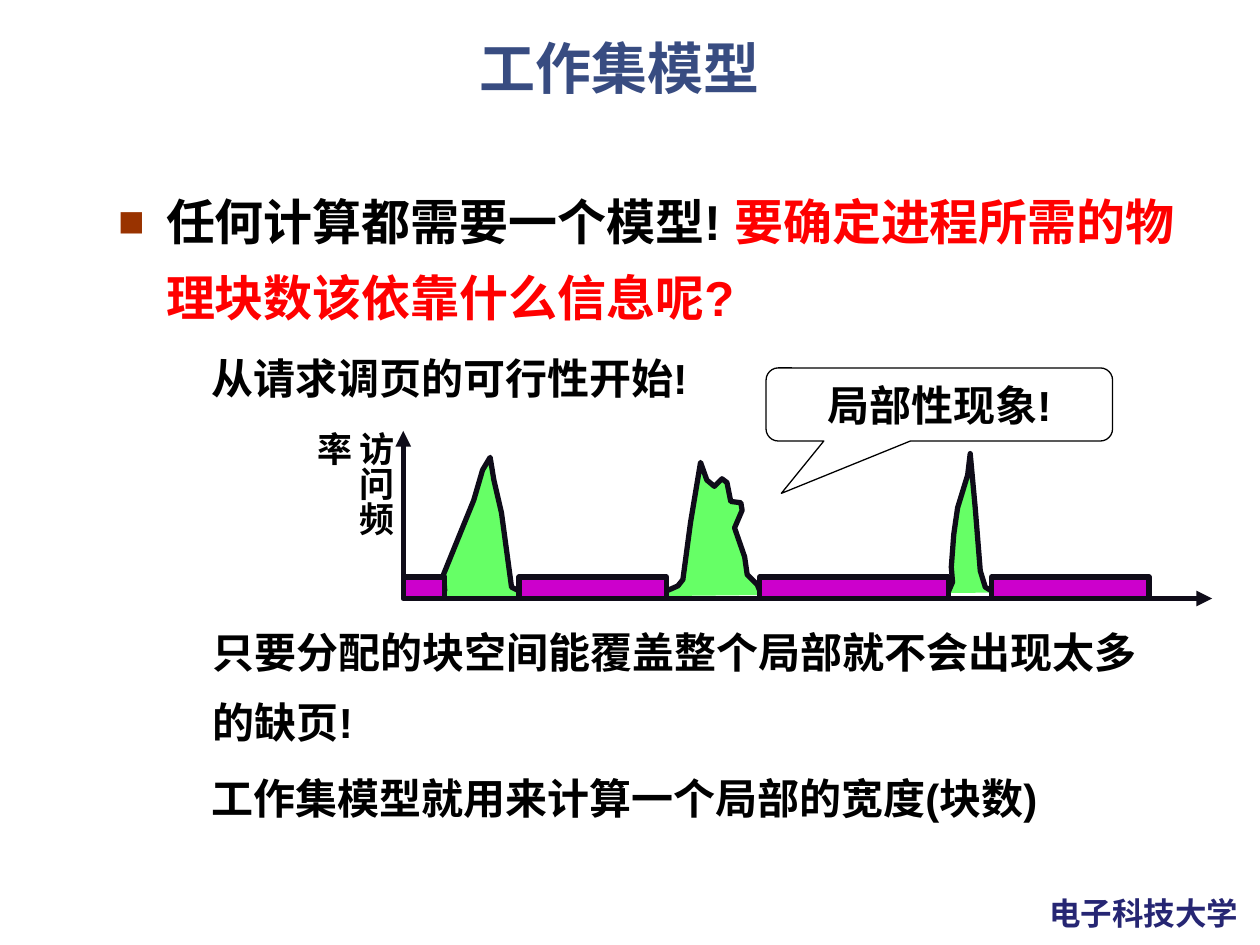
"""Build the working-set model slide with its access-frequency sketch."""
import pptx
import pptx.util
import pptx.dml.color
import pptx.enum.lang
import pptx.enum.shapes
import pptx.enum.text
import pptx.oxml
import pptx.oxml.ns

Inches, Pt = pptx.util.Inches, pptx.util.Pt
MSO_SHAPE = pptx.enum.shapes.MSO_SHAPE
MSO_ANCHOR = pptx.enum.text.MSO_ANCHOR
PP_ALIGN = pptx.enum.text.PP_ALIGN
NS = pptx.oxml.ns.nsdecls("a")
BLACK, WHITE, RED, BROWN = "000000", "FFFFFF", "FF0000", "993300"
INK, PURPLE, GREEN = "0F0C19", "CC00CC", "66FF66"


def rgb(value):
    return pptx.dml.color.RGBColor.from_string(value)


def write(tf, text, size=24, color=BLACK, align=None, spacing=None, anchor=MSO_ANCHOR.TOP, wrap=True):
    tf.word_wrap = wrap
    tf.vertical_anchor = anchor
    p = tf.paragraphs[0]
    p.alignment = align
    p.line_spacing = spacing
    r = p.add_run()
    r.text = text
    r.font.name = "Arial"
    r.font.size = Pt(size)
    r.font.bold = True
    r.font.color.rgb = rgb(color)
    r.font.language_id = pptx.enum.lang.MSO_LANGUAGE_ID.SIMPLIFIED_CHINESE
    return p


prs = pptx.Presentation()
prs.slide_width, prs.slide_height = Inches(10), Inches(7.5)
s = prs.slides.add_slide(prs.slide_layouts[6])
s.background.fill.solid()
s.background.fill.fore_color.rgb = rgb(WHITE)

footer = s.shapes.add_textbox(Inches(8.23), Inches(7.05), Inches(1.73), Inches(0.4))
write(footer.text_frame, "电子科技大学", size=18, color="262673", wrap=False)

title = s.shapes.add_textbox(Inches(0.42), Inches(0.33), Inches(9), Inches(0.74))
title.text_frame.margin_top = 0
write(title.text_frame, "工作集模型", size=32, color="384C81", align=PP_ALIGN.CENTER, spacing=0.9)

question = s.shapes.add_textbox(Inches(0.84), Inches(1.33), Inches(8.66), Inches(0.95))
for text, color in [("任何计算都需要一个模型! ", BLACK),
                    ("要确定进程所需的物理块数该依靠什么信息呢?", RED)]:
    p = write(question.text_frame, text, size=28, color=color, spacing=1.3)
pPr = p._p.get_or_add_pPr()
pPr.set("marL", str(Inches(0.38)))
pPr.set("indent", str(Inches(-0.38)))
for xml in (f'<a:buClr {NS}><a:srgbClr val="{BROWN}"/></a:buClr>',
            f'<a:buSzPct {NS} val="90000"/>',
            f'<a:buFont {NS} typeface="Arial"/>',
            f'<a:buChar {NS} char="■"/>'):
    pPr.append(pptx.oxml.parse_xml(xml))

for x, y, height, text in [
    (1.08, 2.59, 0.61, "从请求调页的可行性开始!"),
    (1.09, 4.76, 1.17, "只要分配的块空间能覆盖整个局部就不会出现太多的缺页!"),
    (1.08, 5.92, 0.61, "工作集模型就用来计算一个局部的宽度(块数)"),
]:
    sp = s.shapes.add_textbox(Inches(x), Inches(y), Inches(8.25), Inches(height))
    p = write(sp.text_frame, text, spacing=1.4)
    p.level = 1
    p._p.get_or_add_pPr().set("marL", str(Inches(0.5)))

callout = s.shapes.add_shape(MSO_SHAPE.ROUNDED_RECTANGULAR_CALLOUT,
                             Inches(6.08), Inches(2.92), Inches(2.75), Inches(0.58))
tail_x, tail_y, corner = -0.456, 1.217, 0.167
for i, value in enumerate((tail_x, tail_y, corner)):
    callout.adjustments[i] = value
write(callout.text_frame, "局部性现象!", align=PP_ALIGN.CENTER, anchor=MSO_ANCHOR.MIDDLE)

axis_x, axis_y = 3.2, 4.75
axis_right, axis_top = 9.62, 3.42
quiet_end, bar_height, foot_height = 9.12, 0.17, 0.06

steep_fall = [(0.03, 0.94), (0.09, 0.68), (0.17, 0.09)]
slow_rise = [(-0.37, 0.19), (-0.24, 0.51), (-0.13, 0.78), (-0.06, 1.02), (0, 1.12)]
quick_rise = [(-0.18, 0.1), (-0.14, 0.15), (-0.08, 0.6), (0, 1.08)]
ragged_fall = [(0.05, 0.94), (0.11, 0.89), (0.17, 0.95), (0.21, 0.92), (0.24, 0.77), (0.32, 0.76),
               (0.33, 0.7), (0.27, 0.56), (0.35, 0.33), (0.37, 0.19), (0.45, 0.11)]
narrow_rise = [(-0.14, 0.13), (-0.15, 0.25), (-0.13, 0.51), (-0.1, 0.72), (-0.02, 0.98), (0, 1.15)]
narrow_fall = [(0.04, 0.72), (0.08, 0.22), (0.12, 0.09)]
localities = [
    (3.53, 3.89, 4.12, slow_rise + steep_fall),
    (5.29, 5.56, 6.03, quick_rise + ragged_fall),
    (7.53, 7.7, 7.87, narrow_rise + narrow_fall),
]

curve = [(3.43, 0)]
for left, summit, right, profile in localities:
    curve.append((left, foot_height))
    curve += [(summit + dx, height) for dx, height in profile]
    curve.append((right, foot_height))
curve.append((quiet_end, foot_height))
points = [(Inches(x), Inches(axis_y - height)) for x, height in curve]
builder = s.shapes.build_freeform(*points[0])
builder.add_line_segments(points[1:], close=False)
frequency = builder.convert_to_shape()

bar_starts = [axis_x] + [right for left, summit, right, profile in localities]
bar_ends = [left for left, summit, right, profile in localities] + [quiet_end]
bars = [s.shapes.add_shape(MSO_SHAPE.RECTANGLE, Inches(start), Inches(axis_y - bar_height),
                           Inches(end - start), Inches(bar_height))
        for start, end in zip(bar_starts, bar_ends)]

styles = [(callout, WHITE, BLACK, 0.75), (frequency, GREEN, INK, 3)]
styles += [(bar, PURPLE, INK, 3) for bar in bars]
for sp, fill, line, weight in styles:
    sp.shadow.inherit = False
    sp.fill.solid()
    sp.fill.fore_color.rgb = rgb(fill)
    sp.line.color.rgb = rgb(line)
    sp.line.width = Pt(weight)

bar_middle = axis_y - bar_height / 2
axes = [s.shapes.add_connector(pptx.enum.shapes.MSO_CONNECTOR.STRAIGHT, *map(Inches, ends))
        for ends in [(axis_x, axis_y, axis_right, axis_y), (axis_x, bar_middle, axis_x, axis_top)]]
axes[1].begin_connect(bars[0], 1)
for axis in axes:
    axis.line.color.rgb = rgb(INK)
    axis.line.width = Pt(3)
    axis.line._get_or_add_ln().append(pptx.oxml.parse_xml(f'<a:tailEnd {NS} type="triangle"/>'))
    axis._element.spPr.append(pptx.oxml.parse_xml(f"<a:effectLst {NS}/>"))

label = s.shapes.add_textbox(Inches(2.67), Inches(3.33), Inches(0.53), Inches(1.25))
write(label.text_frame, "访问频率", size=20)
label.text_frame.auto_size = pptx.enum.text.MSO_AUTO_SIZE.SHAPE_TO_FIT_TEXT
label.text_frame._txBody.bodyPr.set("vert", "eaVert")

prs.save("out.pptx")
